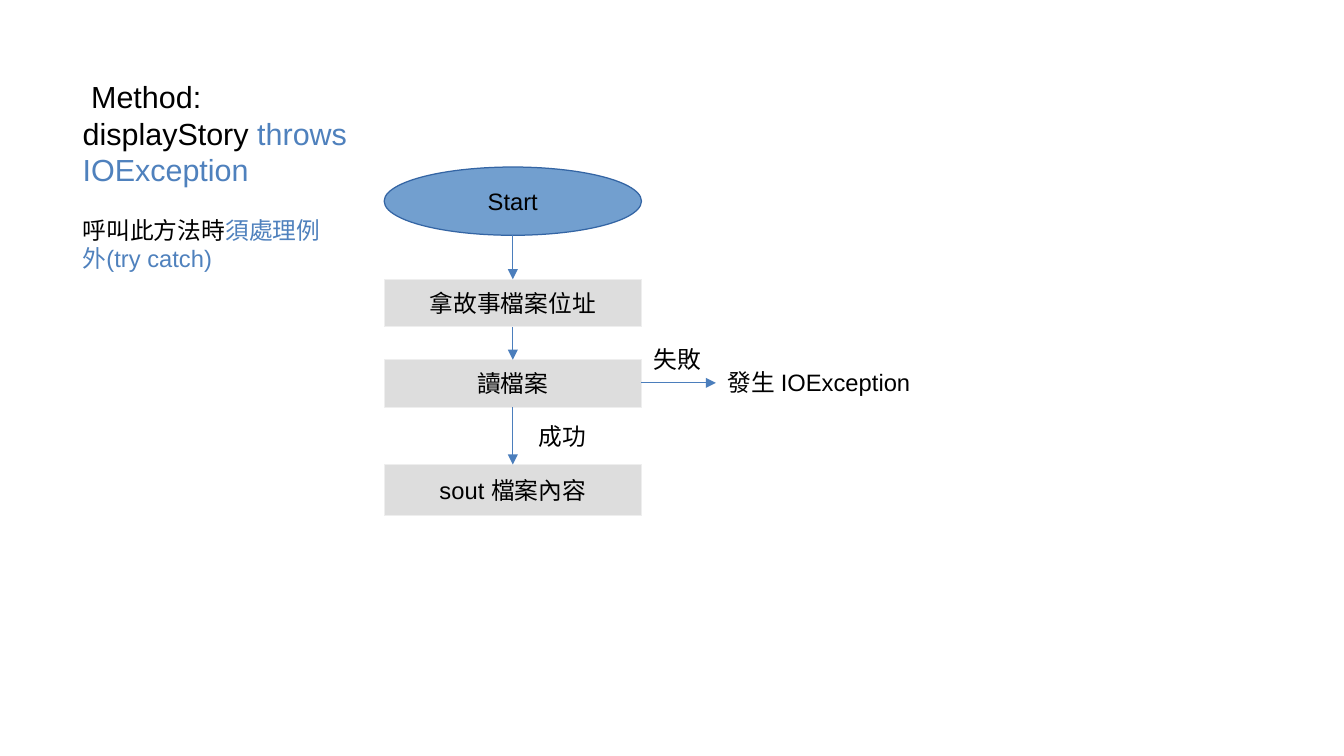
from lxml import etree
from pptx import Presentation, util as u
from pptx.dml.color import RGBColor
from pptx.enum import shapes, text
from pptx.oxml.ns import qn

INK, BLUE, LINE = "000000", "4F81BD", "4B7EBC"
LEFT, WIDE = 3.15, 2.11
RIGHT, MID = LEFT + WIDE, LEFT + WIDE / 2

deck = Presentation()
deck.slide_width, deck.slide_height = u.Inches(11.02), u.Inches(6.2)
slide = deck.slides.add_slide(deck.slide_layouts[6])


def paint(hue):
    """Turn a hex string into a colour."""
    return RGBColor.from_string(hue)


def write(frame, lines, size=14):
    """Fill a frame with lines, each a list of (words, colour) runs."""
    frame.word_wrap = True
    for i, line in enumerate(lines):
        para = frame.paragraphs[0] if i == 0 else frame.add_paragraph()
        for words, hue in line:
            run = para.add_run()
            run.text = words
            run.font.size, run.font.name = u.Pt(size), "Arial"
            run.font.color.rgb = paint(hue)


# Flow steps: kind, top, height, label, fill, line
oval, rect = shapes.MSO_SHAPE.OVAL, shapes.MSO_SHAPE.RECTANGLE
steps = [
    (oval, 1.37, 0.56, "Start", "729FCF", "3465A4"),
    (rect, 2.29, 0.39, "拿故事檔案位址", "DDDDDD", "EEEEEE"),
    (rect, 2.95, 0.39, "讀檔案", "DDDDDD", "EEEEEE"),
    (rect, 3.81, 0.42, "sout 檔案內容", "DDDDDD", "EEEEEE"),
]
for kind, top, high, label, fill, edge in steps:
    box = slide.shapes.add_shape(kind, *map(u.Inches, (LEFT, top, WIDE, high)))
    box.shadow.inherit = False
    box.fill.solid()
    box.fill.fore_color.rgb = paint(fill)
    box.line.color.rgb = paint(edge)
    box.line.width = 0
    write(box.text_frame, [[(label, INK)]])
    box.text_frame.vertical_anchor = text.MSO_ANCHOR.MIDDLE
    box.text_frame.paragraphs[0].alignment = text.PP_ALIGN.CENTER

# Arrows: one between each pair of steps, one out to the failure
arrows = [(MID, a[1] + a[2], MID, b[1]) for a, b in zip(steps, steps[1:])]
arrows.append((RIGHT, 3.14, 5.87, 3.14))
for ends in arrows:
    arrow = slide.shapes.add_connector(
        shapes.MSO_CONNECTOR.STRAIGHT, *map(u.Inches, ends))
    arrow.line.color.rgb = paint(LINE)
    arrow.line.width = u.Pt(0.75)
    tip = etree.SubElement(arrow.line._get_or_add_ln(), qn("a:tailEnd"))
    tip.set("type", "triangle")
    etree.SubElement(arrow._element.spPr, qn("a:effectLst"))

# Free text: left, top, width, height, size, lines
notes = [
    (0.58, 0.59, 2.37, 0.98, 18,
     [[(" Method:", INK)],
      [("displayStory ", INK), ("throws IOException", BLUE)]]),
    (0.58, 1.72, 2.22, 0.57, 14,
     [[("呼叫此方法時", INK), ("須處理例外(try catch)", BLUE)]]),
    (4.32, 3.41, 0.83, 0.34, 14, [[("成功", INK)]]),
    (RIGHT, 2.78, 0.83, 0.34, 14, [[("失敗", INK)]]),
    (5.87, 2.97, 2.11, 0.34, 14, [[("發生 IOException", INK)]]),
]
for *spot, size, lines in notes:
    note = slide.shapes.add_textbox(*map(u.Inches, spot))
    write(note.text_frame, lines, size)

deck.save("out.pptx")
